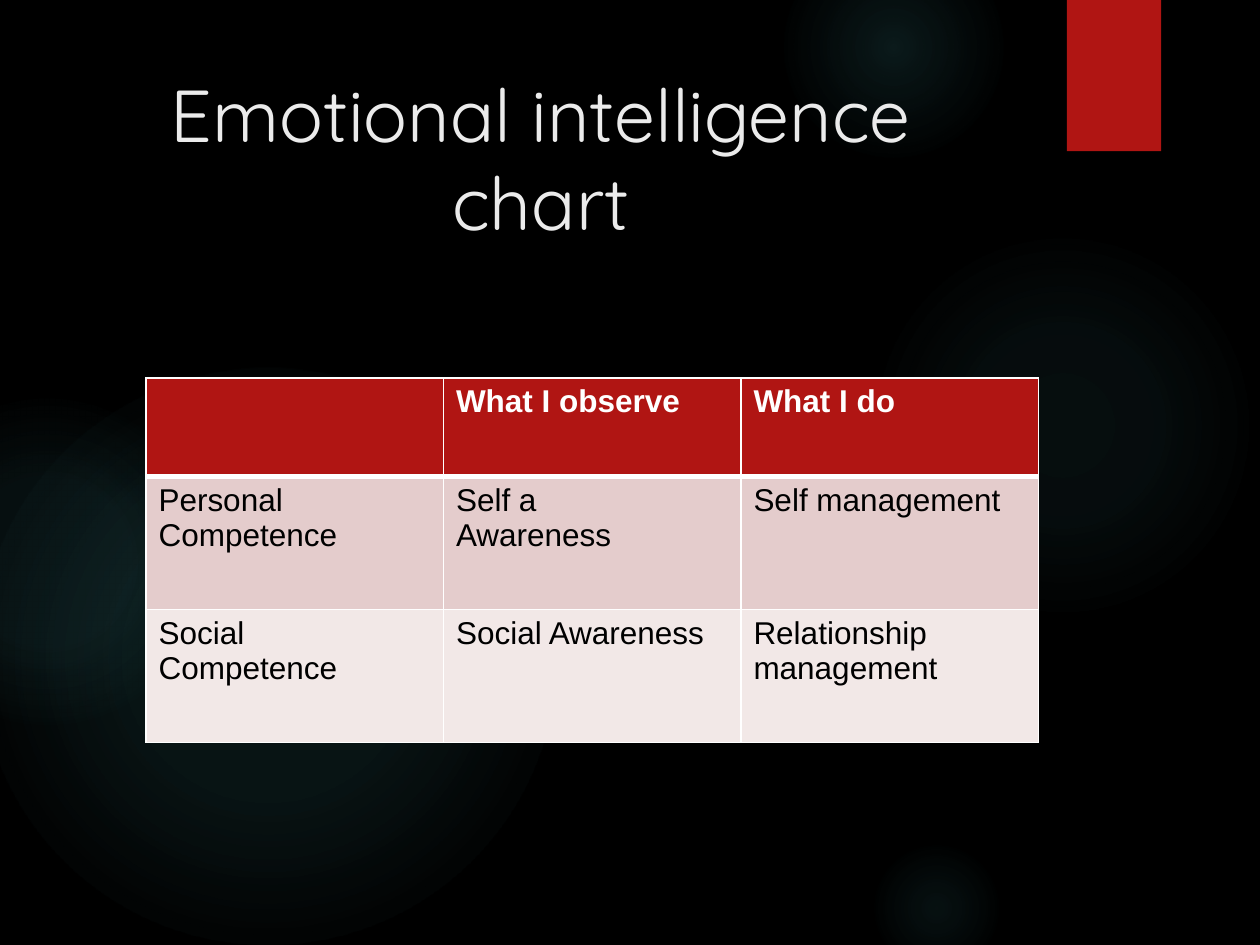
import pptx
import pptx.util
import pptx.oxml
import pptx.oxml.ns
import pptx.dml.color
import pptx.enum.shapes
import pptx.enum.text

COLORS = {
    "background": "000000",
    "glow": "50B9C1",
    "accent": "B01513",
    "title": "EBEBEB",
    "border": "FFFFFF",
    "header_text": "FFFFFF",
    "body_text": "000000",
    "band_dark": "E4CCCC",
    "band_light": "F2E8E7",
}
COLUMNS = 120
SLIDE_WIDTH = pptx.util.Inches(10)
SLIDE_HEIGHT = pptx.util.Inches(7.5)
UNIT = SLIDE_WIDTH / COLUMNS
NAMESPACE = pptx.oxml.ns.nsdecls("a")
SHAPES = pptx.enum.shapes.MSO_SHAPE

GLOWS = [
    ((82.7, 22, 37, 37), [(0, 7), (36, 6), (69, 0)]),
    ((74.6, -6, 21, 21), [(0, 14), (36, 7), (73, 0)]),
    ((82.7, 80, 13, 13), [(0, 9), (36, 5), (66, 0)]),
    ((-2, 35, 55, 55), [(0, 11), (36, 10), (75, 0)]),
    ((-11, 38, 31, 31), [(0, 8), (36, 8), (72, 0)]),
]
COMPETENCES = [
    ["", "What I observe", "What I do"],
    ["Personal Competence", "Self a\nAwareness", "Self management"],
    ["Social Competence", "Social Awareness", "Relationship management"],
]
ROW_HEIGHTS = [9.36, 12.67, 12.67]
ROW_FILLS = ["accent", "band_dark", "band_light"]


def grid(*lengths):
    return [round(length * UNIT) for length in lengths]


def color(name):
    return pptx.dml.color.RGBColor.from_string(COLORS[name])


def paint(fill, name):
    fill.solid()
    fill.fore_color.rgb = color(name)


def style(para, font, size, name, bold=False):
    para.font.name = font
    para.font.size = pptx.util.Pt(size)
    para.font.color.rgb = color(name)
    para.font.bold = bold


def add_plain_shape(page, kind, box):
    shape = page.shapes.add_shape(kind, *grid(*box))
    shape.shadow.inherit = False
    shape.line.fill.background()
    return shape


def add_glow(page, box, stops):
    circle = add_plain_shape(page, SHAPES.OVAL, box)
    stop_xml = "".join(
        f'<a:gs pos="{position * 1000}"><a:srgbClr val="{COLORS["glow"]}">'
        f'<a:alpha val="{opacity * 1000}"/></a:srgbClr></a:gs>'
        for position, opacity in stops
    )
    gradient = pptx.oxml.parse_xml(
        f'<a:gradFill {NAMESPACE} rotWithShape="1"><a:gsLst>{stop_xml}</a:gsLst>'
        '<a:path path="circle"><a:fillToRect l="50000" t="50000" r="50000" b="50000"/>'
        "</a:path></a:gradFill>"
    )
    circle.element.spPr.insert(2, gradient)


def add_ribbon(page, box):
    ribbon = add_plain_shape(page, SHAPES.RECTANGLE, box)
    paint(ribbon.fill, "accent")


def add_title(page, box, text):
    title = page.shapes.add_textbox(*grid(*box))
    frame = title.text_frame
    frame.word_wrap = True
    frame.vertical_anchor = pptx.enum.text.MSO_ANCHOR.TOP
    para = frame.paragraphs[0]
    para.text = text
    para.alignment = pptx.enum.text.PP_ALIGN.CENTER
    style(para, "Quicksand", 42, "title")


def add_borders(cell, widths):
    properties = cell._tc.get_or_add_tcPr()
    for index, (side, width) in enumerate(widths.items()):
        line = pptx.oxml.parse_xml(
            f'<a:ln{side} {NAMESPACE} w="{pptx.util.Pt(width)}"><a:solidFill>'
            f'<a:srgbClr val="{COLORS["border"]}"/></a:solidFill></a:ln{side}>'
        )
        properties.insert(index, line)


def add_competence_table(page, box):
    row_count, column_count = len(COMPETENCES), len(COMPETENCES[0])
    table = page.shapes.add_table(row_count, column_count, *grid(*box)).table
    table.horz_banding = False
    for column in table.columns:
        column.width = grid(box[2] / column_count)[0]
    for row_index, texts in enumerate(COMPETENCES):
        table.rows[row_index].height = grid(ROW_HEIGHTS[row_index])[0]
        is_header = row_index == 0
        text_color = "header_text" if is_header else "body_text"
        top = 3 if row_index == 1 else 1
        bottom = 3 if is_header else 1
        for column_index, text in enumerate(texts):
            cell = table.cell(row_index, column_index)
            cell.text = text
            paint(cell.fill, ROW_FILLS[row_index])
            add_borders(cell, {"L": 1, "R": 1, "T": top, "B": bottom})
            for para in cell.text_frame.paragraphs:
                style(para, "Arial", 18, text_color, is_header)


def main():
    deck = pptx.Presentation()
    deck.slide_width = SLIDE_WIDTH
    deck.slide_height = SLIDE_HEIGHT
    page = deck.slides.add_slide(deck.slide_layouts[6])
    paint(page.background.fill, "background")
    for box, stops in GLOWS:
        add_glow(page, box, stops)
    add_ribbon(page, (101.6, 0, 9, 14.4))
    add_title(page, (6.4, 6, 90.2, 18.4), "Emotional intelligence chart")
    add_competence_table(page, (13.9, 36, 85, sum(ROW_HEIGHTS)))
    deck.save("out.pptx")


if __name__ == "__main__":
    main()
